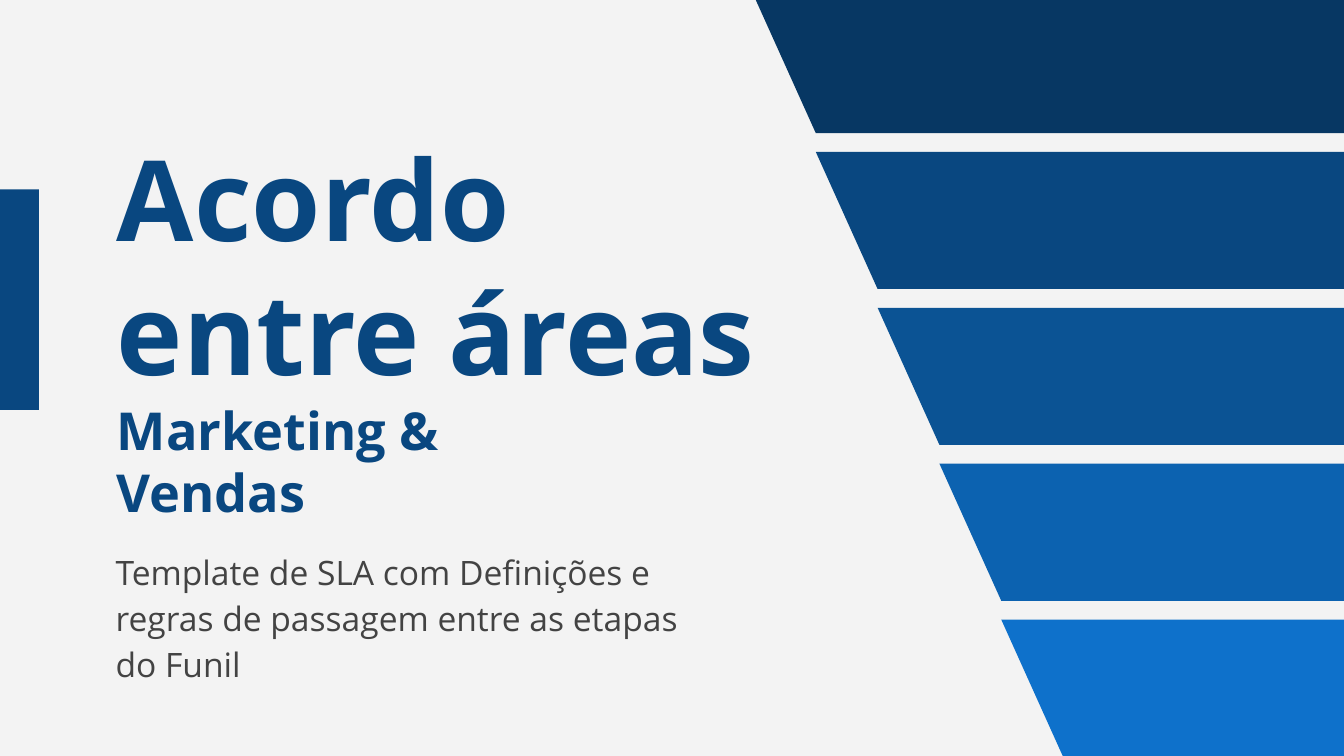
from pptx import Presentation
from pptx.dml.color import RGBColor as Rgb
from pptx.enum.shapes import MSO_SHAPE as Kind
from pptx.enum.text import MSO_ANCHOR as Anchor, MSO_AUTO_SIZE as Fit, PP_ALIGN as Align
from pptx.util import Inches, Pt

FONT = "Open Sans"
COLORS = {"back": "F3F3F3", "navy": "094780", "gray": "434343"}
BANDS = ["073763", "094780", "0B5394", "0C62B0", "0E71CB"]
TITLE = [["Acordo entre áreas "], ["Marketing &", "Vendas"]]
SIZES = [60, 28]
LEAD = "Template de SLA com Definições e regras de passagem entre as etapas do Funil"

WIDE = 10
TALL = WIDE * 9 / 16
LEFT, RIGHT, TOP = 5.61, 12.33, -0.03
STEP, HIGH, SLANT = 1.16, 1.02, 0.46


def paint(shape, color):
    shape.fill.solid()
    shape.fill.fore_color.rgb = Rgb.from_string(color)
    shape.line.fill.background()
    shape.shadow.inherit = False


def place(shape, *box):
    shape.left, shape.top, shape.width, shape.height = map(Inches, box)
    frame = shape.text_frame
    frame.word_wrap = True
    frame.auto_size = Fit.NONE
    frame.vertical_anchor = Anchor.TOP
    frame.margin_left = frame.margin_right = Inches(0.1)
    frame.margin_top = frame.margin_bottom = Inches(0.1)
    para = frame.paragraphs[0]
    para.alignment = Align.LEFT
    para.space_before = Pt(0)
    return para


def style(run, size, color, bold):
    run.font.name = FONT
    run.font.size = Pt(size)
    run.font.bold = bold
    run.font.color.rgb = Rgb.from_string(COLORS[color])


def band(slide, row, color):
    x, right, y = LEFT + SLANT * row, RIGHT - SLANT * row, TOP + STEP * row
    low = y + HIGH
    pen = slide.shapes.build_freeform(Inches(x), Inches(y), scale=1.0)
    corners = [(right, y), (right - SLANT, low), (x + SLANT, low)]
    pen.add_line_segments([(Inches(a), Inches(b)) for a, b in corners], close=True)
    paint(pen.convert_to_shape(), color)


deck = Presentation()
deck.slide_width, deck.slide_height = Inches(WIDE), Inches(TALL)
slide = deck.slides.add_slide(deck.slide_layouts[0])
slide.background.fill.solid()
slide.background.fill.fore_color.rgb = Rgb.from_string(COLORS["back"])

head = place(slide.shapes.title, 0.77, 0.86, 5.14, 2.24)
head.line_spacing = 1.0
for lines, size in zip(TITLE, SIZES):
    for row, text in enumerate(lines):
        if row:
            head.add_line_break()
        run = head.add_run()
        run.text = text
        style(run, size, "navy", True)

lead = place(slide.placeholders[1], 0.76, 3.96, 4.66, 0.85)
lead.text = LEAD
lead.line_spacing = 1.15
lead.space_after = Pt(16)
style(lead.runs[0], 18, "gray", False)

for row, color in enumerate(BANDS):
    band(slide, row, color)

tab = slide.shapes.add_shape(
    Kind.RECTANGLE, Inches(-0.01), Inches(1.41), Inches(0.3), Inches(1.64))
paint(tab, COLORS["navy"])

deck.save("out.pptx")
